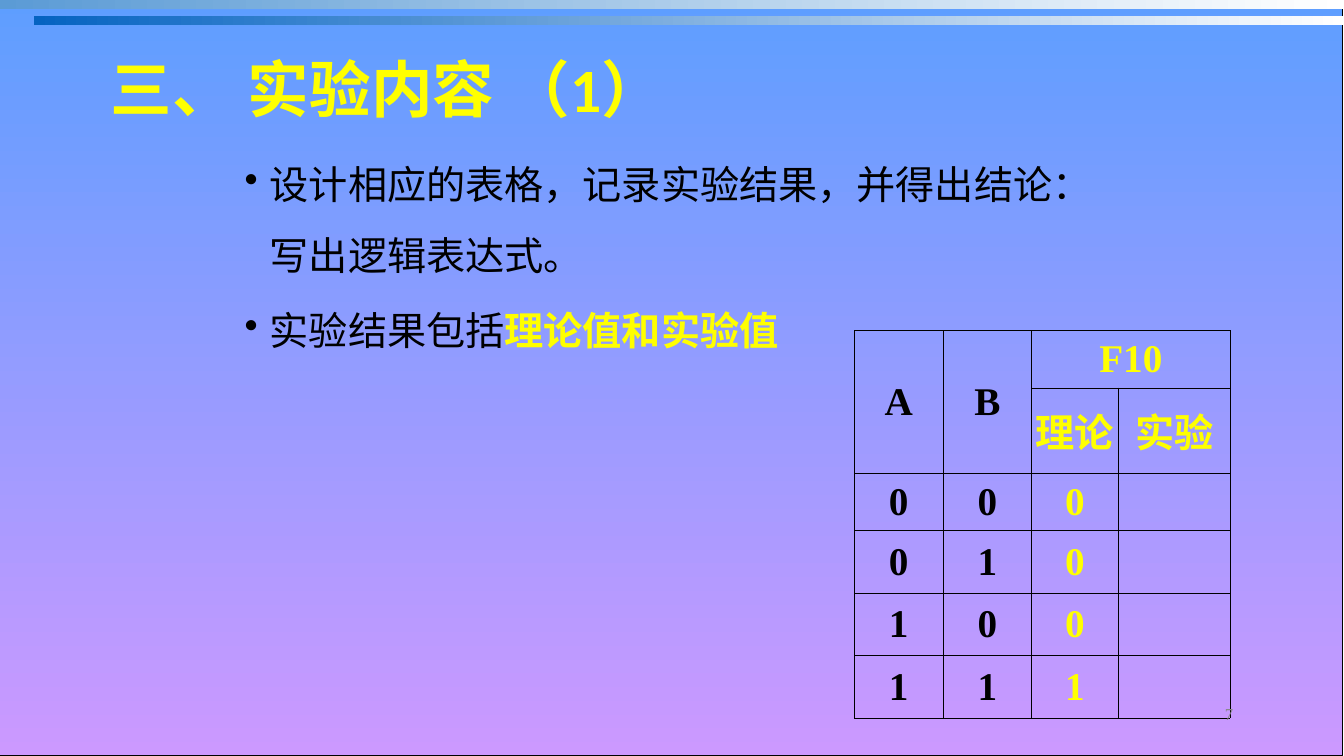
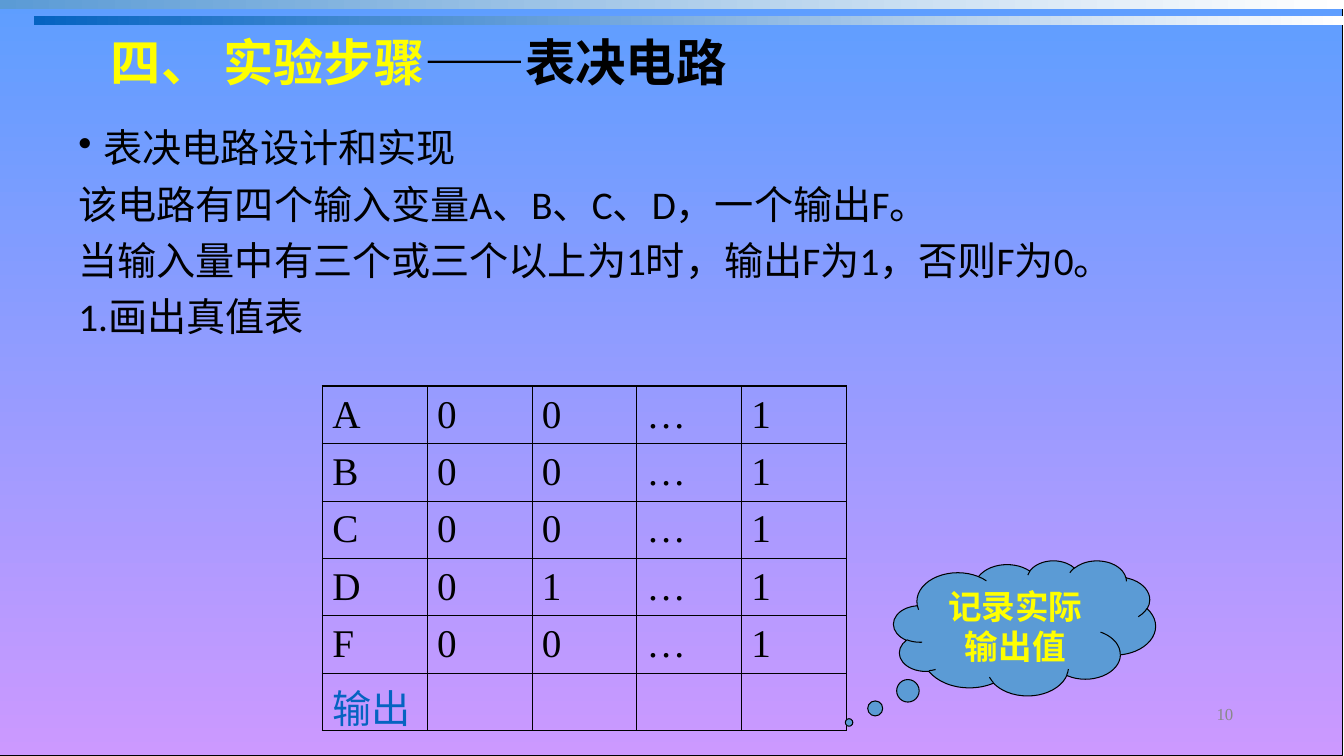
from lxml import etree
from pptx import Presentation
from pptx.dml.color import RGBColor
from pptx.enum.shapes import MSO_SHAPE
from pptx.enum.text import MSO_ANCHOR, MSO_AUTO_SIZE, PP_ALIGN
from pptx.oxml.ns import qn
from pptx.util import Inches, Pt

# Shared style
BLACK = RGBColor(0x00, 0x00, 0x00)
WHITE = RGBColor(0xFF, 0xFF, 0xFF)
YELLOW = RGBColor(0xFF, 0xFF, 0x00)
GRAY = RGBColor(0x89, 0x89, 0x89)
DEEP_BLUE = RGBColor(0x05, 0x63, 0xC1)
MID_BLUE = RGBColor(0x5B, 0x9B, 0xD5)
SKY = RGBColor(0x5E, 0x9E, 0xFF)
LILAC = RGBColor(0xCC, 0x99, 0xFF)
SANS, SERIF = "Calibri", "Times New Roman"
BODY_SIZE = 28
THIN, THICK = 0.45, 1.08

RECT, CLOUD = MSO_SHAPE.RECTANGLE, MSO_SHAPE.CLOUD_CALLOUT
TOP, MIDDLE = MSO_ANCHOR.TOP, MSO_ANCHOR.MIDDLE
LEFT, CENTER, RIGHT = PP_ALIGN.LEFT, PP_ALIGN.CENTER, PP_ALIGN.RIGHT
NO_AUTOFIT = MSO_AUTO_SIZE.NONE


def box(*lengths):
    return [Inches(v) for v in lengths]


def add_run(p, text, size, color=BLACK, bold=False, font=SANS):
    r = p.add_run()
    r.text = text
    r.font.name = font
    r.font.size = Pt(size)
    r.font.bold = bold
    r.font.color.rgb = color


def set_bullet(p):
    """Give a paragraph a black dot with a hanging indent."""
    pPr = p._p.get_or_add_pPr()
    pPr.set("marL", str(Inches(0.25)))
    pPr.set("indent", str(-Inches(0.25)))
    color = etree.SubElement(pPr, qn("a:buClr"))
    etree.SubElement(color, qn("a:srgbClr"), val=str(BLACK))
    etree.SubElement(pPr, qn("a:buChar"), char="•")


def add_textbox(slide, lengths, anchor=TOP):
    tf = slide.shapes.add_textbox(*box(*lengths)).text_frame
    tf.word_wrap = True
    tf.vertical_anchor = anchor
    return tf


def add_gradient(slide, lengths, start, end, angle=0):
    sp = slide.shapes.add_shape(RECT, *box(*lengths))
    sp.shadow.inherit = False
    sp.fill.gradient()
    sp.fill.gradient_angle = angle
    for stop, color in zip(sp.fill.gradient_stops, (start, end)):
        stop.color.rgb = color
    sp.line.fill.background()
    return sp


def build_layout(slide):
    """Draw the background and bands, then move them to the shared layout."""
    background = add_gradient(slide, (0, 0, 13.33, 7.5), SKY, LILAC, 270)
    background.line.color.rgb = BLACK
    background.line.width = Pt(0.75)
    lower = add_gradient(slide, (0.34, 0.16, 13, 0.09), DEEP_BLUE, WHITE)
    upper = add_gradient(slide, (0, 0, 13.33, 0.09), MID_BLUE, WHITE)
    tree = slide.slide_layout.shapes._spTree
    for i, sp in enumerate((background, lower, upper)):
        tree.insert(2 + i, sp._element)


def set_title(slide, top, size, runs):
    sp = slide.shapes.title
    sp.left, sp.top, sp.width, sp.height = box(1, top, 11.33, 1)
    tf = sp.text_frame
    tf.auto_size = NO_AUTOFIT
    tf.vertical_anchor = MIDDLE
    p = tf.paragraphs[0]
    p.alignment = LEFT
    p.line_spacing = 0.9
    for text, color in runs:
        add_run(p, text, size, color, bold=True)


def add_body(slide, lengths, paragraphs, line_spacing, space_before):
    """Each paragraph is (bulleted, [(text, highlighted), ...])."""
    tf = add_textbox(slide, lengths)
    for i, (bulleted, runs) in enumerate(paragraphs):
        p = tf.add_paragraph() if i else tf.paragraphs[0]
        if bulleted:
            set_bullet(p)
        p.line_spacing = line_spacing
        if i:
            p.space_before = Pt(space_before)
        for text, highlighted in runs:
            add_run(p, text, BODY_SIZE, YELLOW if highlighted else BLACK, highlighted)


def add_page_number(slide, number):
    p = add_textbox(slide, (9.56, 6.83, 2.78, 0.5), MIDDLE).paragraphs[0]
    p.alignment = RIGHT
    add_run(p, number, 12, GRAY, font=SERIF)


def set_borders(cell, widths):
    """Widths are in points: left, right, top, bottom."""
    tcPr = cell._tc.get_or_add_tcPr()
    for side, width in zip("LRTB", widths):
        ln = etree.SubElement(tcPr, qn("a:ln" + side), w=str(Pt(width)))
        fill = etree.SubElement(ln, qn("a:solidFill"))
        etree.SubElement(fill, qn("a:srgbClr"), val=str(BLACK))


def add_table(slide, left, top, cols, heights, rows, color_at,
              align=LEFT, bold=False, margin=0.1, outer=THIN):
    n_rows, n_cols = len(heights), len(cols)
    lengths = box(left, top, sum(cols), sum(heights))
    table = slide.shapes.add_table(n_rows, n_cols, *lengths).table
    table.first_row = table.horz_banding = False
    for column, width in zip(table.columns, cols):
        column.width = Inches(width)
    for row, height in zip(table.rows, heights):
        row.height = Inches(height)
    for i, texts in enumerate(rows):
        for j, text in enumerate(texts):
            cell = table.cell(i, j)
            edges = (j == 0, j == n_cols - 1, i == 0, i == n_rows - 1)
            set_borders(cell, [outer if edge else THIN for edge in edges])
            cell.fill.background()
            cell.vertical_anchor = MIDDLE
            cell.margin_left = cell.margin_right = Inches(margin)
            p = cell.text_frame.paragraphs[0]
            p.alignment = align
            if text:
                add_run(p, text, BODY_SIZE, color_at(i, j), bold, SERIF)
    return table


def add_cloud(slide, lengths, text):
    sp = slide.shapes.add_shape(CLOUD, *box(*lengths))
    sp.shadow.inherit = False
    sp.adjustments[0], sp.adjustments[1] = -0.67, 0.7
    sp.fill.solid()
    sp.fill.fore_color.rgb = MID_BLUE
    sp.line.color.rgb = BLACK
    sp.line.width = Pt(0.75)
    tf = sp.text_frame
    tf.word_wrap = True
    tf.vertical_anchor = TOP
    p = tf.paragraphs[0]
    p.alignment = CENTER
    add_run(p, text, 24, YELLOW, True, SERIF)


def build_content_slide(slide):
    set_title(slide, 0.42, 44, [("三、 实验内容 （1）", YELLOW)])
    add_body(slide, (2.33, 1.31, 8.66, 4.5), [
        (True, [("设计相应的表格，记录实验结果，并得出结论：写出逻辑表达式。", False)]),
        (True, [("实验结果包括", False), ("理论值和实验值", True)]),
    ], 1.5, 3.5)

    # AND truth table with merged headings
    rows = [("A", "B", "F10", ""), ("", "", "理论", "实验")]
    rows += [(str(a), str(b), str(a & b), "") for a in (0, 1) for b in (0, 1)]
    table = add_table(slide, 8.48, 3.28, (0.88, 0.88, 0.86, 1.11),
                      (0.49, 0.85, 0.49, 0.62, 0.62, 0.62), rows,
                      lambda i, j: YELLOW if j > 1 else BLACK,
                      CENTER, bold=True, margin=0.04)
    for first, last in (((0, 0), (1, 0)), ((0, 1), (1, 1)), ((0, 2), (0, 3))):
        table.cell(*first).merge(table.cell(*last))
    add_page_number(slide, "7")


def build_voting_slide(slide):
    set_title(slide, 0.15, 36, [("四、 实验步骤", YELLOW), ("——表决电路", BLACK)])
    add_body(slide, (0.68, 1.23, 12.52, 2.99), [
        (True, [("表决电路设计和实现", False)]),
        (False, [("该电路有四个输入变量A、B、C、D，一个输出F。", False)]),
        (False, [("当输入量中有三个或三个以上为1时，输出F为1，否则F为0。", False)]),
        (False, [("1.画出真值表", False)]),
    ], 0.9, 10)

    # Truth table with one variable a row
    rows = [(name, "0", "1" if name == "D" else "0", "…", "1") for name in "ABCDF"]
    rows.append(("输出", "", "", "", ""))
    add_table(slide, 3.2, 3.83, [1.04] * 5, [0.57] * 6, rows,
              lambda i, j: DEEP_BLUE if i == 5 else BLACK, outer=THICK)
    add_cloud(slide, (8.87, 5.56, 2.6, 1.34), "记录实际输出值")
    add_page_number(slide, "10")


def main():
    prs = Presentation()
    prs.slide_width, prs.slide_height = box(13.34, 7.5)
    title_only = prs.slide_layouts[5]
    content, voting = [prs.slides.add_slide(title_only) for _ in range(2)]
    build_layout(content)
    build_content_slide(content)
    build_voting_slide(voting)
    prs.save("out.pptx")


if __name__ == "__main__":
    main()
